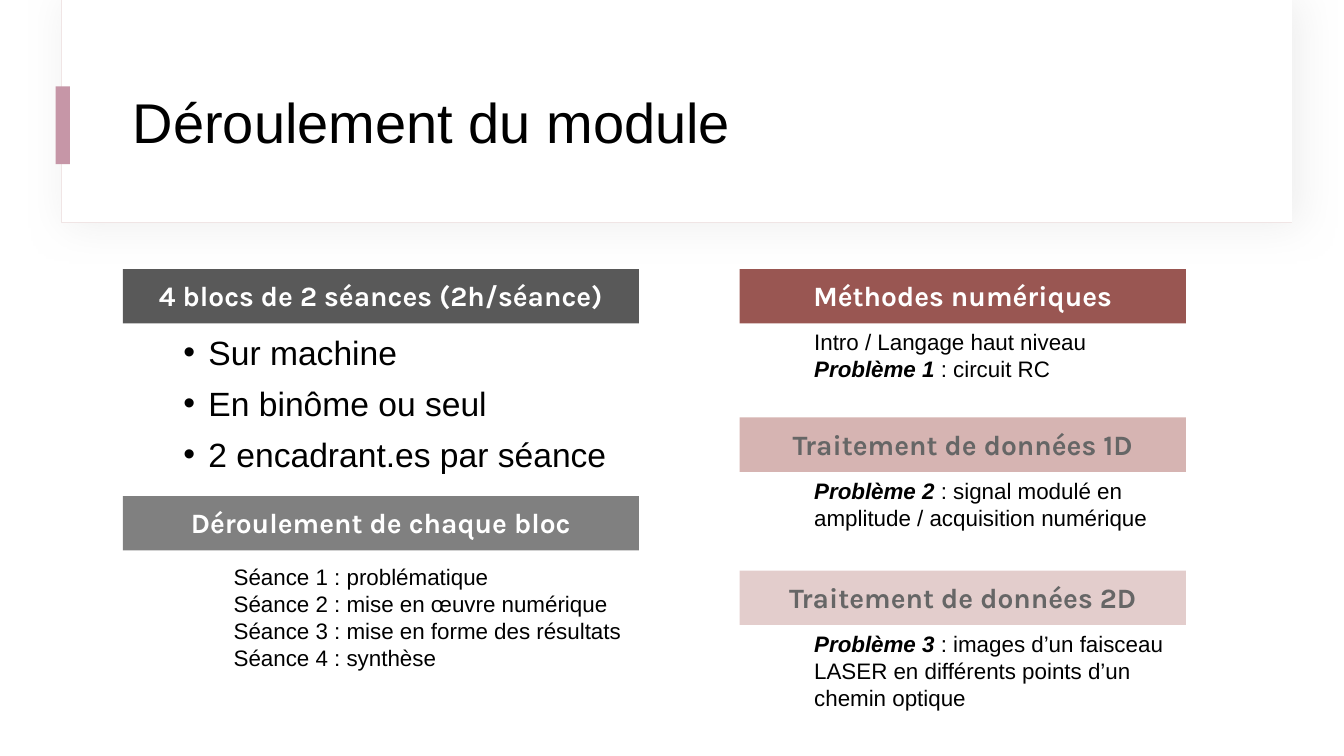
"""Build the slide presenting how the module is organised."""
import pptx
import pptx.dml.color
import pptx.enum.shapes
import pptx.enum.text
import pptx.oxml
import pptx.oxml.ns
import pptx.util

Cm = pptx.util.Cm
Pt = pptx.util.Pt
color = pptx.dml.color.RGBColor.from_string
ALIGN = pptx.enum.text.PP_ALIGN
ANCHOR = pptx.enum.text.MSO_ANCHOR
NAMESPACE = pptx.oxml.ns.nsdecls("a")


def add_rectangle(left, top, width, height, fill):
    shape = slide.shapes.add_shape(
        pptx.enum.shapes.MSO_SHAPE.RECTANGLE, Cm(left), Cm(top), Cm(width), Cm(height))
    shape.shadow.inherit = False
    shape.fill.solid()
    shape.fill.fore_color.rgb = color(fill)
    shape.line.fill.background()
    return shape


def add_text(left, top, width, height, lines, size):
    shape = slide.shapes.add_textbox(Cm(left), Cm(top), Cm(width), Cm(height))
    frame = shape.text_frame
    frame.word_wrap = True
    frame.text = "\n".join(lead + rest for lead, rest in lines)
    for paragraph, (lead, rest) in zip(frame.paragraphs, lines):
        if lead:
            paragraph.runs[0].text = lead
            paragraph.runs[0].font.bold = True
            paragraph.runs[0].font.italic = True
            paragraph.add_run().text = rest
        for run in paragraph.runs:
            run.font.name = "Arial"
            run.font.size = Pt(size)
            run.font.color.rgb = color("000000")
    return frame


presentation = pptx.Presentation()
presentation.slide_width = Cm(33.87)
presentation.slide_height = Cm(19.05)
slide = presentation.slides.add_slide(presentation.slide_layouts[6])

header_frame = add_rectangle(1.55, 0, 31.01, 5.61, "FFFFFF")
header_frame.line.color.rgb = color("F0E5E5")
header_frame.line.width = Pt(0.75)
effects = header_frame._element.spPr.find(pptx.oxml.ns.qn("a:effectLst"))
effects.append(pptx.oxml.parse_xml(
    f'<a:outerShdw {NAMESPACE} blurRad="381000" dist="50800" dir="180000">'
    '<a:srgbClr val="D9D9D9"><a:alpha val="45000"/></a:srgbClr></a:outerShdw>'))
add_rectangle(1.57, 0, 30.99, 5.59, "FFFFFF")
add_rectangle(1.4, 2.18, 0.36, 1.96, "C696A7")

title = add_text(3.1, 1.52, 28.24, 3.28, [("", "Déroulement du module")], 40)
title.vertical_anchor = ANCHOR.MIDDLE
title.paragraphs[0].line_spacing = 0.9

organisation = add_text(3.1, 8.13, 13.72, 4.3, [
    ("", "Sur machine"),
    ("", "En binôme ou seul"),
    ("", "2 encadrant.es par séance"),
], 24)
for index, paragraph in enumerate(organisation.paragraphs):
    paragraph.line_spacing = 1.1
    paragraph.space_before = Pt(5 if index else 0)
    properties = paragraph._p.get_or_add_pPr()
    properties.set("marL", str(Cm(1.905)))
    properties.set("indent", str(-Cm(0.635)))
    properties.append(pptx.oxml.parse_xml(f'<a:buFont {NAMESPACE} typeface="Arial"/>'))
    properties.append(pptx.oxml.parse_xml(f'<a:buChar {NAMESPACE} char="•"/>'))

left_column = (3.1, 13)
right_column = (18.64, 11.25)
banner_height = 1.37
banners = [
    (right_column, 6.78, "Méthodes numériques", "995652", "FFFFFF"),
    (right_column, 10.52, "Traitement de données 1D", "D6B4B2", "666666"),
    (right_column, 14.38, "Traitement de données 2D", "E3CDCC", "666666"),
    (left_column, 6.78, "4 blocs de 2 séances (2h/séance)", "595959", "FFFFFF"),
    (left_column, 12.5, "Déroulement de chaque bloc", "808080", "FFFFFF"),
]
for (left, width), top, label, fill, font_color in banners:
    banner = add_rectangle(left, top, width, banner_height, fill)
    frame = banner.text_frame
    frame.word_wrap = True
    frame.vertical_anchor = ANCHOR.TOP
    frame.margin_left = frame.margin_right = Cm(0.25)
    frame.margin_top = frame.margin_bottom = Cm(0.25)
    frame.text = label
    frame.paragraphs[0].alignment = ALIGN.CENTER
    font = frame.paragraphs[0].runs[0].font
    font.name = "Karla"
    font.size = Pt(20)
    font.bold = True
    font.color.rgb = color(font_color)

add_text(5.64, 14.07, 10.49, 3.07, [
    ("", "Séance 1 : problématique"),
    ("", "Séance 2 : mise en œuvre numérique"),
    ("", "Séance 3 : mise en forme des résultats"),
    ("", "Séance 4 : synthèse"),
], 16)

problems = [
    (6.78, 1.63, [("", "Intro / Langage haut niveau"), ("Problème 1", " : circuit RC")]),
    (10.52, 1.63, [("Problème 2", " : signal modulé en amplitude / acquisition numérique")]),
    (14.38, 2.31, [("Problème 3", " : images d’un faisceau LASER en différents points "
                    "d’un chemin optique")]),
]
for banner_top, height, lines in problems:
    add_text(20.27, banner_top + banner_height, 9.63, height, lines, 16)

presentation.save("out.pptx")
